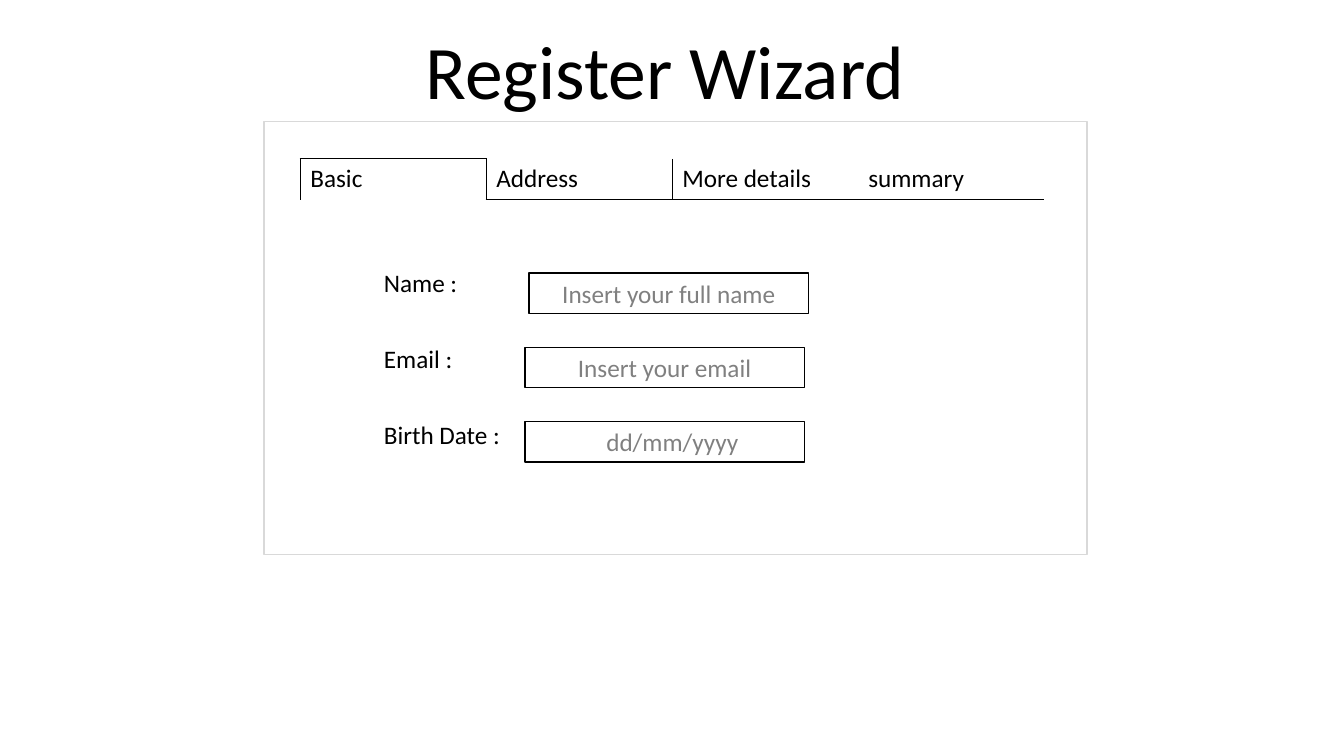
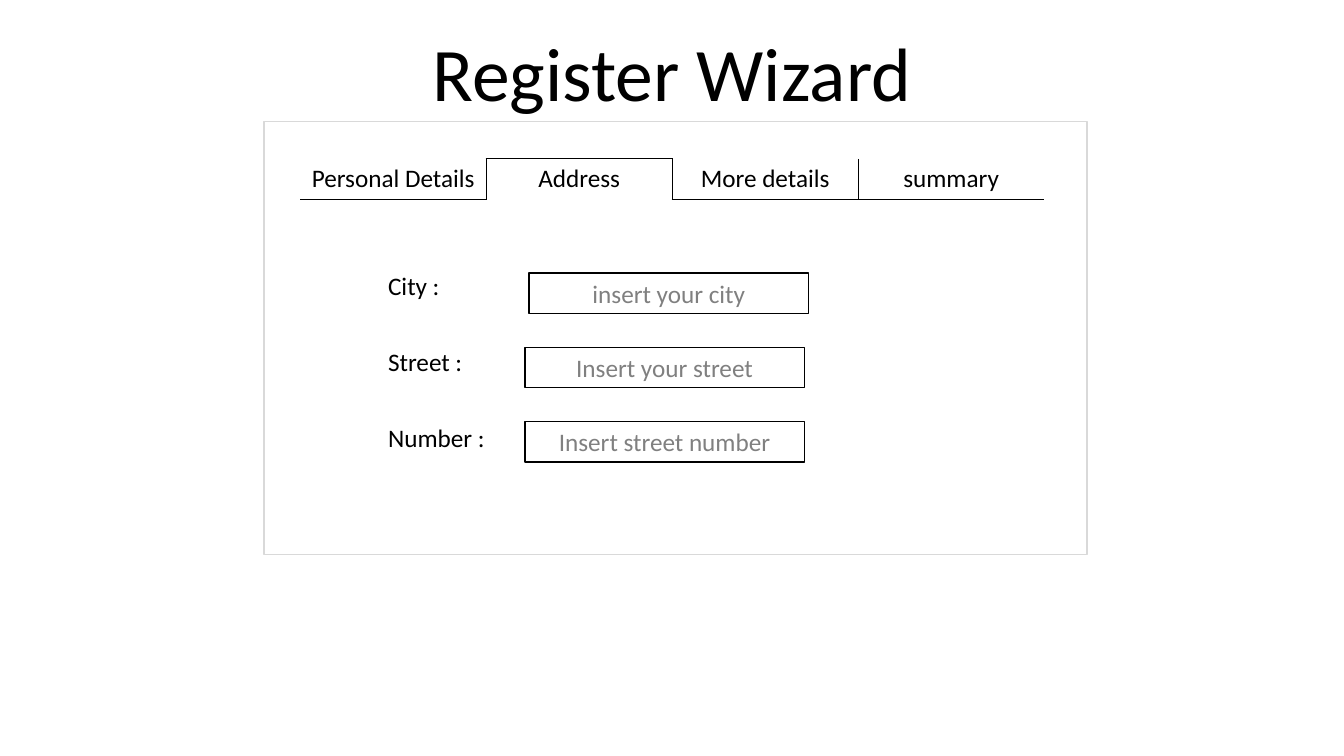
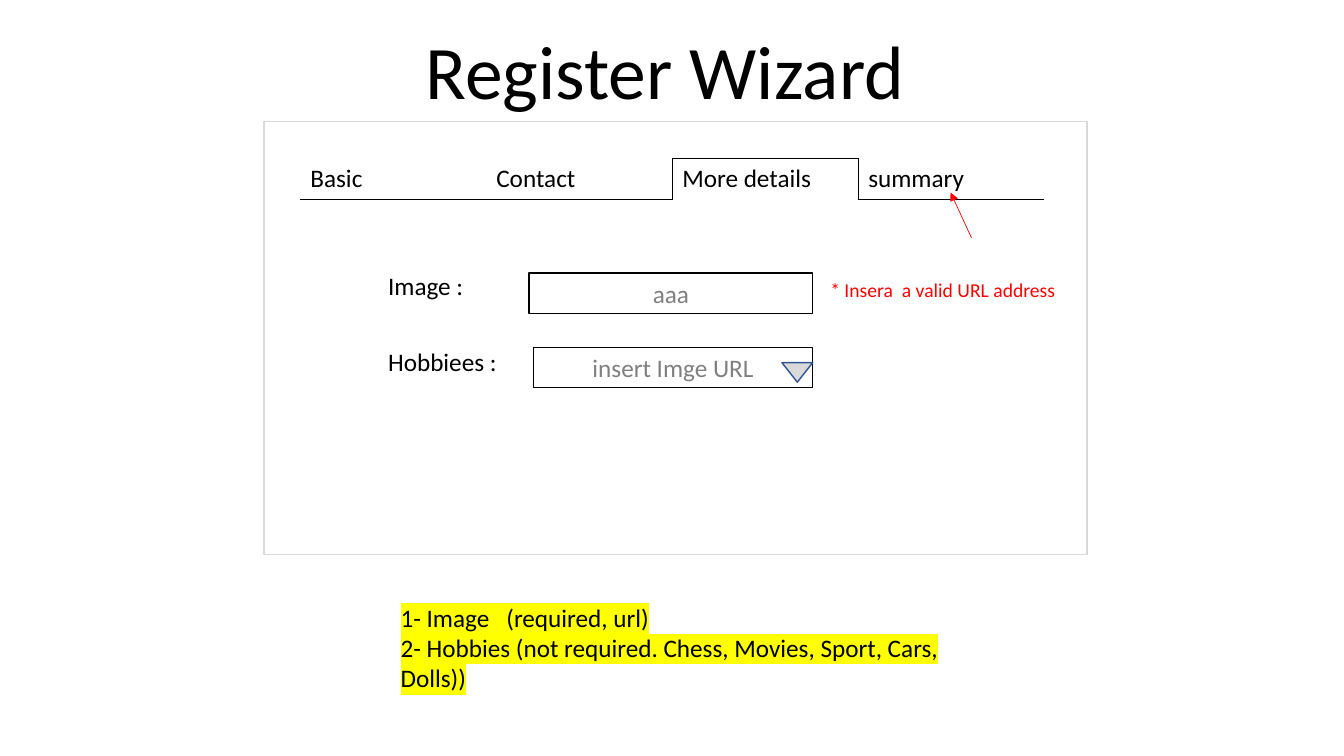
from pptx import Presentation
from pptx.dml.color import RGBColor
from pptx.enum.shapes import MSO_CONNECTOR, MSO_SHAPE
from pptx.enum.text import MSO_ANCHOR, MSO_AUTO_SIZE, PP_ALIGN
from pptx.oxml import parse_xml
from pptx.oxml.ns import nsdecls, qn
from pptx.util import Pt

FONT = "Calibri"
BLACK = RGBColor(0, 0, 0)
WHITE = RGBColor(255, 255, 255)
GRAY = RGBColor(128, 128, 128)
LIGHT_GRAY = RGBColor(0xD9, 0xD9, 0xD9)
BLUE = RGBColor(0x32, 0x54, 0x91)
RED = RGBColor(255, 0, 0)
YELLOW = RGBColor(255, 255, 0)
PLAIN_TABLE_STYLE = "{2D5ABB26-0587-4C30-8999-92F81FD0307C}"

PANEL = (188.5, 87, 588, 309)
TAB_LEFT, TAB_TOP, TAB_WIDTH, TAB_HEIGHT = 214.5, 113.5, 132.85, 29
LABEL_WIDTH, LABEL_HEIGHT = 111, 54.5
FIELD_LEFT, FIELD_TOP, FIELD_WIDTH, FIELD_HEIGHT = 375, 195, 199.5, 29
FIELD_PITCH = 53


def points(*lengths):
    """Turn plain numbers into point lengths."""
    return [Pt(length) for length in lengths]


def add_span(para, text, size=18, color=BLACK, highlight=None):
    """Add one formatted run to a paragraph."""
    span = para.add_run()
    span.text = text
    span.font.name = FONT
    span.font.size = Pt(size)
    span.font.color.rgb = color
    if highlight is not None:
        mark = parse_xml(
            f'<a:highlight {nsdecls("a")}><a:srgbClr val="{highlight}"/></a:highlight>')
        span.font._element.find(qn("a:solidFill")).addnext(mark)


def add_title(page, text, left, top):
    """Fill the title placeholder in the shared title style."""
    title = page.shapes.title
    title.left, title.top, title.width, title.height = points(left, top, 720, 60)
    frame = title.text_frame
    frame.auto_size = MSO_AUTO_SIZE.NONE
    frame.vertical_anchor = MSO_ANCHOR.BOTTOM
    para = frame.paragraphs[0]
    para.alignment = PP_ALIGN.CENTER
    para.line_spacing = 0.9
    add_span(para, text, 54)


def add_box(page, kind, place, fill, line):
    """Add a flat preset shape with a thin outline."""
    box = page.shapes.add_shape(kind, *points(*place))
    box.shadow.inherit = False
    box.fill.solid()
    box.fill.fore_color.rgb = fill
    box.line.color.rgb = line
    box.line.width = Pt(1)
    return box


def add_field(page, row, text, left=FIELD_LEFT, width=FIELD_WIDTH, inset=7.2):
    """Add an input field with its gray prompt on the given form row."""
    place = (left, FIELD_TOP + row * FIELD_PITCH, width, FIELD_HEIGHT)
    field = add_box(page, MSO_SHAPE.RECTANGLE, place, WHITE, BLACK)
    frame = field.text_frame
    frame.word_wrap = True
    frame.margin_left = Pt(inset)
    frame.vertical_anchor = MSO_ANCHOR.MIDDLE
    frame.paragraphs[0].alignment = PP_ALIGN.CENTER
    add_span(frame.paragraphs[0], text, color=GRAY)


def add_plain_table(page, rows, columns, place):
    """Add a table without bands, grid or header style."""
    table = page.shapes.add_table(rows, columns, *points(*place)).table
    table.first_row = table.horz_banding = False
    table._tbl.tblPr.find(qn("a:tableStyleId")).text = PLAIN_TABLE_STYLE
    return table


def fill_cell(cell, text, borders="", align=PP_ALIGN.LEFT):
    """Write a cell and draw black lines on the sides named in borders."""
    properties = cell._tc.get_or_add_tcPr()
    for side in "LRTB":
        if side in borders:
            properties.append(parse_xml(
                f'<a:ln{side} {nsdecls("a")} w="12700"><a:solidFill>'
                f'<a:srgbClr val="{BLACK}"/></a:solidFill></a:ln{side}>'))
    cell.fill.background()
    para = cell.text_frame.paragraphs[0]
    para.alignment = align
    if text:
        add_span(para, text)


def add_tabs(page, names, active, align=PP_ALIGN.LEFT):
    """Add the tab strip, with the active tab open at the bottom."""
    place = (TAB_LEFT, TAB_TOP, TAB_WIDTH * len(names), TAB_HEIGHT)
    table = add_plain_table(page, 1, len(names), place)
    for index, name in enumerate(names):
        borders = {active - 1: "RB", active: "LTR", active + 1: "LB"}.get(index, "B")
        fill_cell(table.cell(0, index), name, borders, align)


def add_labels(page, names, left, top):
    """Add the column of field labels."""
    place = (left, top, LABEL_WIDTH, LABEL_HEIGHT * len(names))
    table = add_plain_table(page, len(names), 1, place)
    for index, name in enumerate(names):
        fill_cell(table.cell(index, 0), name)


def add_note(page, place, lines, **style):
    """Add a wrapped text box with one paragraph for each line."""
    frame = page.shapes.add_textbox(*points(*place)).text_frame
    frame.word_wrap = True
    for index, line in enumerate(lines):
        para = frame.add_paragraph() if index else frame.paragraphs[0]
        add_span(para, line, **style)


def add_arrow(page, start, end, color):
    """Add a thin straight arrow."""
    arrow = page.shapes.add_connector(MSO_CONNECTOR.STRAIGHT, *points(*start, *end))
    arrow.line.color.rgb = color
    arrow.line.width = Pt(0.5)
    arrow.line._get_or_add_ln().append(
        parse_xml(f'<a:tailEnd {nsdecls("a")} type="triangle"/>'))
    arrow._element.spPr.append(parse_xml(f'<a:effectLst {nsdecls("a")}/>'))


def add_wizard_page(deck, title_left=115, title_top=26.5):
    """Add a page with the wizard title and empty panel."""
    page = deck.slides.add_slide(deck.slide_layouts.get_by_name("Title Only"))
    add_title(page, "Register Wizard", title_left, title_top)
    add_box(page, MSO_SHAPE.RECTANGLE, PANEL, WHITE, LIGHT_GRAY)
    return page


def add_basic_page(deck):
    """Build the step for basic data."""
    page = add_wizard_page(deck)
    add_tabs(page, ["Basic", "Address", "More details", "summary"], 0)
    add_labels(page, ["Name :", "Email :", "Birth Date :"], 267, 188)
    add_field(page, 0, "Insert your full name", left=378)
    add_field(page, 1, "Insert your email")
    add_field(page, 2, "dd/mm/yyyy", inset=18.2)


def add_address_page(deck):
    """Build the step for the address."""
    page = add_wizard_page(deck, 120, 27.5)
    add_labels(page, ["City :", "Street :", "Number :"], 270, 190)
    add_field(page, 0, "insert your city", left=378)
    add_field(page, 1, "Insert your street")
    add_field(page, 2, "Insert street number")
    names = ["Personal Details", "Address", "More details", "summary"]
    add_tabs(page, names, 1, PP_ALIGN.CENTER)


def add_details_page(deck):
    """Build the step for further details, with its review notes."""
    page = add_wizard_page(deck)
    add_labels(page, ["Image :", "Hobbiees :", ""], 270, 190)
    add_field(page, 0, "aaa", left=378, width=202.5)
    add_field(page, 1, "insert Imge URL", left=381)
    add_tabs(page, ["Basic", "Contact", "More details", "summary"], 2)
    add_note(page, (586, 195, 177, 41), ["* Insera  a valid URL address"],
             size=14, color=RED)
    add_arrow(page, (694, 170), (679, 137.5), RED)
    rules = ["1- Image   (required, url)",
             "2- Hobbies (not required. Chess, Movies, Sport, Cars, Dolls))"]
    add_note(page, (279, 426.5, 430, 73), rules, highlight=YELLOW)
    dropdown = add_box(page, MSO_SHAPE.ISOSCELES_TRIANGLE, (558.5, 259, 22, 14),
                       LIGHT_GRAY, BLUE)
    dropdown.rotation = 180


def main():
    """Build and save the deck."""
    deck = Presentation()
    deck.slide_width, deck.slide_height = points(960, 540)
    add_basic_page(deck)
    add_address_page(deck)
    add_details_page(deck)
    deck.save("out.pptx")


if __name__ == "__main__":
    main()
